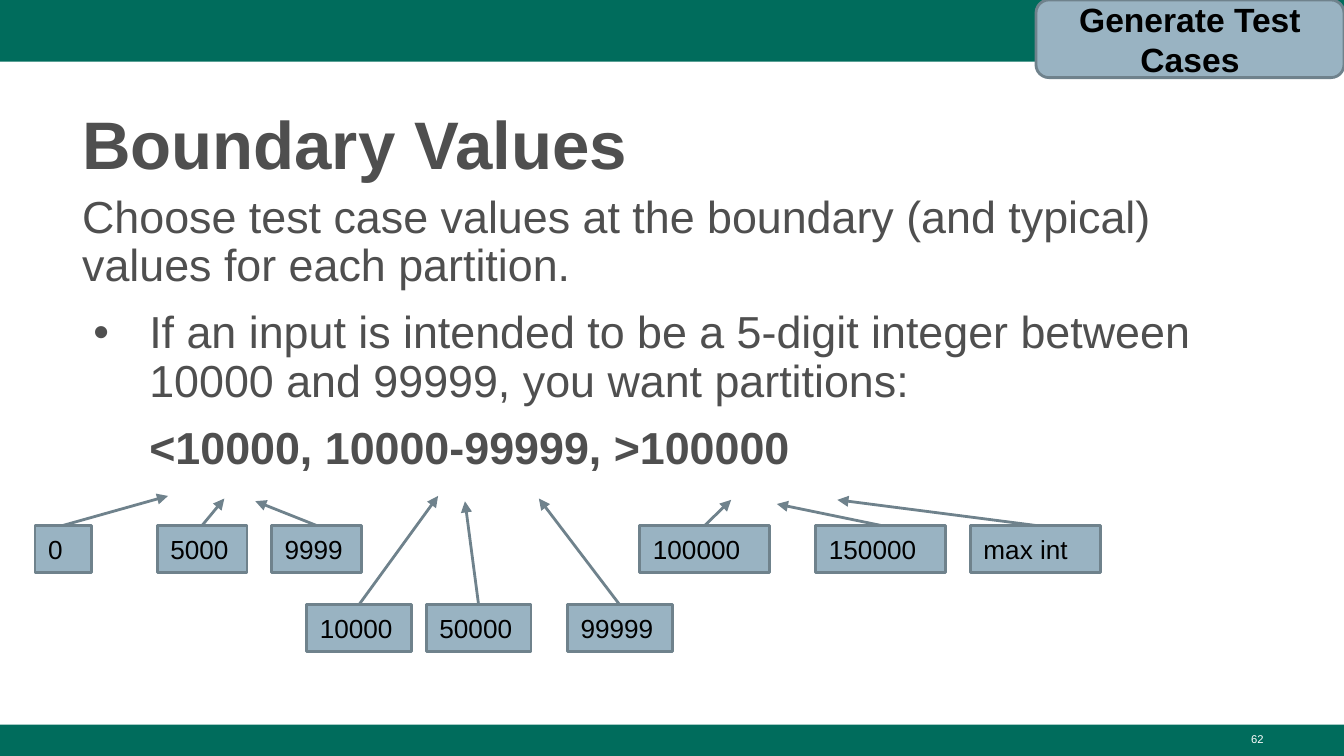
from collections import namedtuple

from lxml.etree import SubElement
from pptx import Presentation
from pptx.dml.color import RGBColor
from pptx.enum.shapes import MSO_CONNECTOR as Connector, MSO_SHAPE as Shape
from pptx.enum.text import MSO_ANCHOR as Anchor, PP_ALIGN as Align
from pptx.oxml.ns import qn
from pptx.util import Pt

GREEN = RGBColor(0x00, 0x6C, 0x5C)
GRAY = RGBColor(0x4F, 0x4F, 0x4F)
BLUE = RGBColor(0x99, 0xB3, 0xC2)
SLATE = RGBColor(0x6F, 0x82, 0x8C)
BLACK = RGBColor(0x00, 0x00, 0x00)
WHITE = RGBColor(0xFF, 0xFF, 0xFF)
WIDTH, HEIGHT = 720, 405

Box = namedtuple("Box", "left top width height")
Chip = namedtuple("Chip", "text left width tip")  # positions relative to the row


def write(frame, text, size, color=BLACK, bold=False, align=Align.LEFT,
          spacing=None, before=None, margin=0, indent=0, bullet=None):
    """Add one formatted paragraph to a text frame."""
    para = frame.paragraphs[0]
    if para.runs:
        para = frame.add_paragraph()
    para.alignment = align
    if spacing:
        para.line_spacing = spacing
    if before:
        para.space_before = Pt(before)
    props = para._p.get_or_add_pPr()
    props.set("marL", str(Pt(margin)))
    props.set("indent", str(Pt(indent)))
    if bullet:
        SubElement(props, qn("a:buFont"), typeface="Arial")
        SubElement(props, qn("a:buChar"), char=bullet)
    span = para.add_run()
    span.text = text
    font = span.font
    font.name, font.size, font.bold = "Arial", Pt(size), bold
    font.color.rgb = color


def set_frame(frame, inset, anchor):
    frame.word_wrap = True
    frame.vertical_anchor = anchor
    frame.margin_left = frame.margin_right = Pt(7.2)
    frame.margin_top = frame.margin_bottom = Pt(inset)
    return frame


def add_text_box(page, box, anchor=Anchor.TOP):
    shape = page.shapes.add_textbox(*map(Pt, box))
    return set_frame(shape.text_frame, 3.6, anchor)


def add_panel(page, box, fill, kind=Shape.RECTANGLE, line=None):
    panel = page.shapes.add_shape(kind, *map(Pt, box))
    panel.shadow.inherit = False
    panel.fill.solid()
    panel.fill.fore_color.rgb = fill
    if line:
        panel.line.color.rgb = line
        panel.line.width = Pt(1.5)
    else:
        panel.line.fill.background()
    return set_frame(panel.text_frame, 7.2, Anchor.MIDDLE)


def add_arrow(page, start, end):
    arrow = page.shapes.add_connector(
        Connector.STRAIGHT, *map(Pt, (*start, *end)))
    arrow.line.color.rgb = SLATE
    arrow.line.width = Pt(1.5)
    SubElement(arrow.line._get_or_add_ln(), qn("a:tailEnd"), type="triangle")
    SubElement(arrow._element.spPr, qn("a:effectLst"))


def add_bands(page, box):
    add_panel(page, Box(box.left, box.top, box.width, 33.1), GREEN)
    foot = 16.8
    bottom = box.top + box.height - foot
    add_panel(page, Box(box.left, bottom, box.width, foot), GREEN)


def add_content(page, box):
    title_height = 52.5
    title = add_text_box(page, box._replace(height=title_height), Anchor.MIDDLE)
    write(title, "Boundary Values", 36, GRAY, bold=True, spacing=1.08)

    body = add_text_box(page, Box(box.left, box.top + title_height, box.width,
                                  box.height - title_height))
    style = dict(size=24, color=GRAY, spacing=0.9)
    write(body, "Choose test case values at the boundary (and typical) "
                "values for each partition.", **style)
    write(body, "If an input is intended to be a 5-digit integer between "
                "10000 and 99999, you want partitions:",
          before=10, margin=36, indent=-30, bullet="•", **style)
    write(body, "<10000, 10000-99999, >100000",
          before=10, indent=36, bold=True, **style)


def add_partition(page, box, chips):
    """Place a row of value chips, each with an arrow up to its partition."""
    for chip in chips:
        left = box.left + chip.left
        frame = add_panel(page, Box(left, box.top, chip.width, box.height),
                          BLUE, line=SLATE)
        write(frame, chip.text, 14)
    for chip in chips:
        middle = box.left + chip.left + chip.width / 2
        tip_x, tip_y = chip.tip
        add_arrow(page, (middle, box.top), (box.left + tip_x, box.top + tip_y))


def add_tag(page, box):
    frame = add_panel(page, box, BLUE, Shape.ROUNDED_RECTANGLE, SLATE)
    write(frame, "Generate Test Cases", 18, bold=True, align=Align.CENTER)


def add_page_number(page, box):
    write(add_text_box(page, box), "62", 6, WHITE, align=Align.RIGHT)


PARTITIONS = [
    # Below the range
    (Box(18.7, 281.5, 175, 25.2), [
        Chip("0", 0, 30.2, (71.3, -15.8)),
        Chip("5000", 65.5, 48.2, (101.5, -14.4)),
        Chip("9999", 126.7, 48.2, (118.1, -13)),
    ]),
    # Inside the range
    (Box(164.2, 324, 196, 25.2), [
        Chip("10000", 0, 56.2, (70.5, -58.3)),
        Chip("50000", 64.1, 56.2, (84.9, -55.4)),
        Chip("99999", 139.7, 56.2, (124.5, -56.9)),
    ]),
    # Above the range
    (Box(342.7, 281.5, 247, 25.2), [
        Chip("100000", 0, 69.8, (49, -13.7)),
        Chip("150000", 94.3, 69.8, (73.5, -11.5)),
        Chip("max int", 177.1, 69.8, (105.9, -13.7)),
    ]),
]


def main():
    deck = Presentation()
    deck.slide_width, deck.slide_height = Pt(WIDTH), Pt(HEIGHT)
    page = deck.slides.add_slide(deck.slide_layouts[6])
    add_bands(page, Box(0, 0, WIDTH, HEIGHT))
    add_content(page, Box(36.9, 48.3, 647, 327))
    for box, chips in PARTITIONS:
        add_partition(page, box, chips)
    add_page_number(page, Box(516, 388.6, 168, 16.4))
    add_tag(page, Box(555, 0, 165, 41.6))
    deck.save("out.pptx")


if __name__ == "__main__":
    main()
